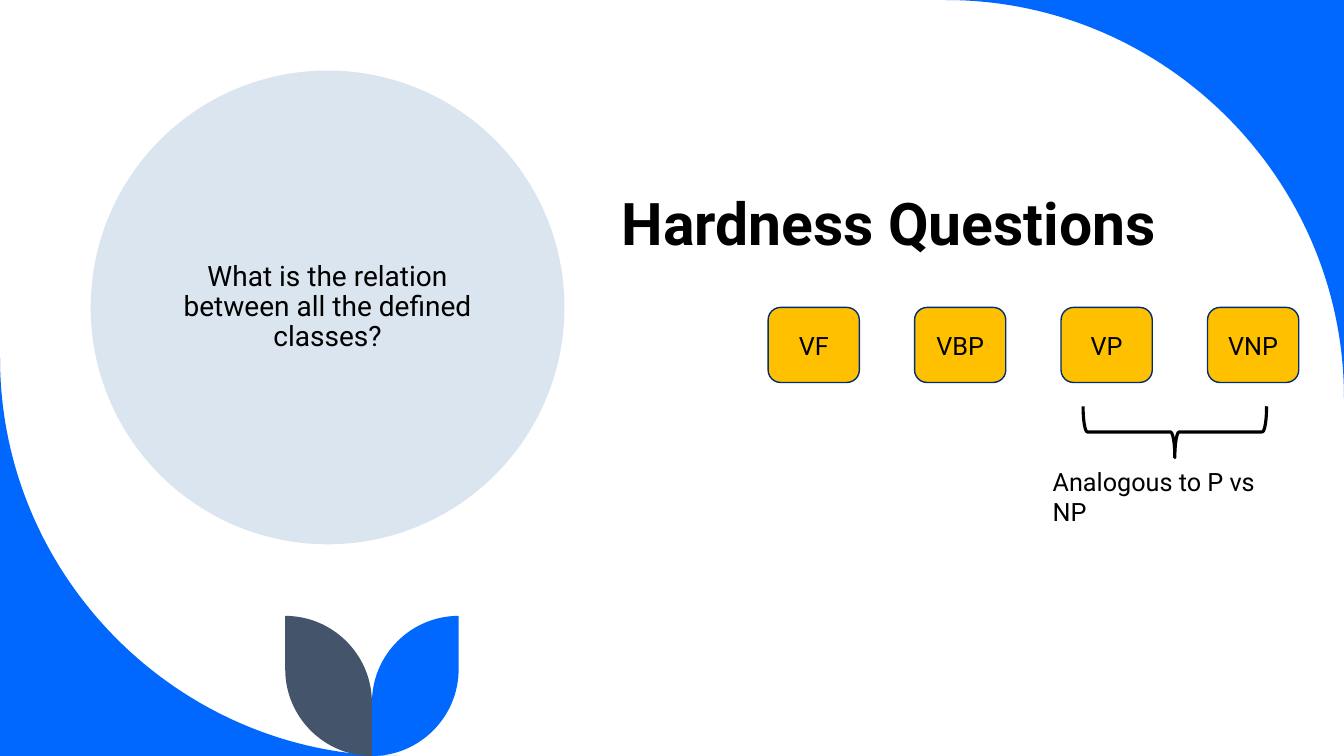
import pptx
import pptx.util
import pptx.dml.color
import pptx.enum.shapes
import pptx.enum.text
import pptx.oxml.ns

RGB = pptx.dml.color.RGBColor
BLUE = RGB(0x00, 0x68, 0xFF)
SLATE = RGB(0x44, 0x54, 0x6A)
PALE = RGB(0xDA, 0xE5, 0xEF)
GOLD = RGB(0xFF, 0xC0, 0x00)
NAVY = RGB(0x00, 0x2E, 0x70)
BLACK = RGB(0x00, 0x00, 0x00)

KIND = pptx.enum.shapes.MSO_SHAPE
ALIGN = pptx.enum.text.PP_ALIGN
ANCHOR = pptx.enum.text.MSO_ANCHOR
FIT = pptx.enum.text.MSO_AUTO_SIZE
qn = pptx.oxml.ns.qn

# Grid: square cells, 75 rows by 133.33 columns
COLS, ROWS = 133.33, 75
CELL = pptx.util.Inches(0.1)


def bend(start, corner, end, pull=0.55):
    """Bezier points of a quarter circle that rounds off a corner."""
    first, last = [tuple(p + pull * (c - p) for p, c in zip(point, corner))
                   for point in (start, end)]
    return [start, first, last, end]


def write(shape, text, size, anchor, align=ALIGN.LEFT, space=1.0, bold=False, fit=FIT.NONE):
    frame = shape.text_frame
    frame.text = text
    para = frame.paragraphs[0]
    looks = [
        (frame, {"word_wrap": True, "vertical_anchor": anchor, "auto_size": fit}),
        (para, {"alignment": align, "line_spacing": space}),
        (para.runs[0].font, {"name": "Roboto", "size": pptx.util.Pt(size), "bold": bold}),
    ]
    for part, look in looks:
        for key, value in look.items():
            setattr(part, key, value)
    para.runs[0].font.color.rgb = BLACK


deck = pptx.Presentation()
deck.slide_width, deck.slide_height = int(COLS * CELL), ROWS * CELL
slide = deck.slides.add_slide(deck.slide_layouts[5])
shapes = slide.shapes

# Corner curves and the pair of leaves
BEND, STEM, LEAF = 39.5, 36.9, 8.6
TOP, TIP = 61.1, STEM + LEAF
leaf = (bend((TIP, ROWS - LEAF), (TIP, ROWS), (STEM, ROWS))
        + bend((STEM, TOP + LEAF), (STEM, TOP), (TIP, TOP)))
twin = [(2 * STEM - x, y) for x, y in leaf]
right = bend((COLS - BEND, 0), (COLS, 0), (COLS, BEND)) + [(COLS, 0)]
left = bend((0, ROWS - BEND), (0, ROWS), (BEND, ROWS)) + [(0, ROWS)]
forms = [(right, BLUE, [0]), (left, BLUE, [0]), (leaf, BLUE, [0, 4]), (twin, SLATE, [0, 4])]
for points, color, bends in forms:
    dots = [(x * CELL, y * CELL) for x, y in points]
    maker = shapes.build_freeform(*dots[0])
    maker.add_line_segments(dots[1:], close=True)
    form = maker.convert_to_shape()
    form.shadow.inherit = False
    form.fill.solid()
    form.fill.fore_color.rgb = color
    form.line.fill.background()
    # Join three straight steps into one curve
    steps = list(form._element.iter(qn("a:lnTo")))
    for n in bends:
        curve = steps[n]
        new = curve.makeelement(qn("a:cubicBezTo"), {})
        curve.addprevious(new)
        for step in steps[n:n + 3]:
            new.append(step[0])
            step.getparent().remove(step)

# Title
title = shapes.title
spot = {"left": 60.65, "top": 5, "width": 65, "height": 21}
for key, value in spot.items():
    setattr(title, key, int(value * CELL))
write(title, "Hardness Questions", 42, ANCHOR.BOTTOM, space=0.8, bold=True)

# Question circle
disc = shapes.add_shape(KIND.OVAL, 9 * CELL, 7 * CELL, 47 * CELL, 47 * CELL)
disc.shadow.inherit = False
disc.fill.solid()
disc.fill.fore_color.rgb = PALE
disc.line.fill.background()
write(disc, "What is the relation between all the defined classes?", 20,
      ANCHOR.MIDDLE, ALIGN.CENTER, 0.9)

# Row of classes
LEFT, STEP = 76.2, 14.53
for i, name in enumerate(["VF", "VBP", "VP", "VNP"]):
    box = shapes.add_shape(KIND.ROUNDED_RECTANGLE, int((LEFT + i * STEP) * CELL),
                           int(30.5 * CELL), int(9.05 * CELL), int(7.45 * CELL))
    box.shadow.inherit = False
    box.fill.solid()
    box.fill.fore_color.rgb = GOLD
    box.line.color.rgb = NAVY
    box.line.width = pptx.util.Pt(1)
    write(box, name, 18, ANCHOR.MIDDLE, ALIGN.CENTER)

# Brace under the last two classes
brace = shapes.add_shape(KIND.LEFT_BRACE, 114 * CELL, int(33.75 * CELL),
                         int(5.1 * CELL), int(18.2 * CELL))
brace.rotation = 270
brace.shadow.inherit = False
brace.fill.background()
brace.line.color.rgb = BLACK
brace.line.width = pptx.util.Pt(2.25)

# Remark below the brace
note = shapes.add_textbox(int(103.45 * CELL), int(45.75 * CELL), int(25.3 * CELL), 4 * CELL)
write(note, "Analogous to P vs NP", 18, ANCHOR.TOP, fit=FIT.SHAPE_TO_FIT_TEXT)

deck.save("out.pptx")
